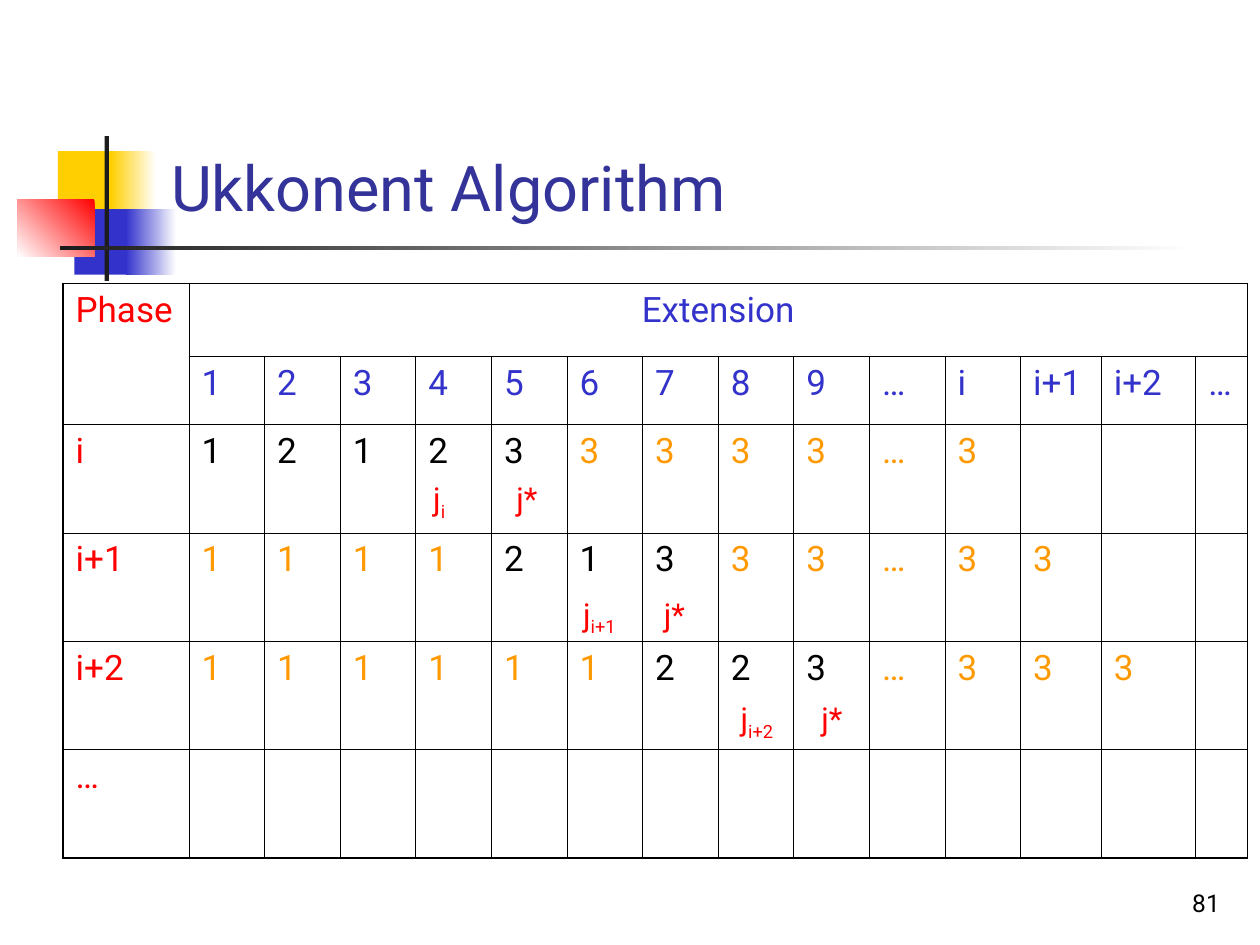
from dataclasses import dataclass

from lxml import etree
from pptx import Presentation
from pptx.dml.color import RGBColor
from pptx.enum.shapes import MSO_SHAPE
from pptx.enum.text import MSO_ANCHOR, MSO_AUTO_SIZE, PP_ALIGN
from pptx.oxml.ns import qn
from pptx.util import Inches, Pt

RECTANGLE = MSO_SHAPE.RECTANGLE
TOP, BOTTOM = MSO_ANCHOR.TOP, MSO_ANCHOR.BOTTOM
LEFT, CENTER, RIGHT = PP_ALIGN.LEFT, PP_ALIGN.CENTER, PP_ALIGN.RIGHT
FIXED, GROW = MSO_AUTO_SIZE.NONE, MSO_AUTO_SIZE.SHAPE_TO_FIT_TEXT
GRID_COLUMNS, GRID_ROWS = 100, 75


@dataclass(frozen=True)
class Theme:
    font: str = "Roboto"
    title: str = "333399"
    extension: str = "3333CC"
    phase: str = "FF0000"
    explicit: str = "000000"
    implicit: str = "FF9900"
    border: str = "000000"
    yellow: str = "FFCF01"
    blue: str = "3333CC"
    red: str = "FF0000"
    dark: str = "1C1C1C"
    white: str = "FFFFFF"
    title_size: int = 36
    table_size: int = 20
    marker_size: int = 18
    number_size: int = 14
    inner_line: float = 0.45
    outer_line: float = 1.08


def apply_format(target, values):
    for attribute, value in values.items():
        setattr(target, attribute, value)


class SlideBuilder:
    def __init__(self, deck, theme):
        self.theme = theme
        self.slide = deck.slides.add_slide(deck.slide_layouts[6])
        self.column = deck.slide_width / GRID_COLUMNS
        self.row = deck.slide_height / GRID_ROWS

    def place(self, left, top, width, height):
        return (round(left * self.column), round(top * self.row),
                round(width * self.column), round(height * self.row))

    def block(self, area, *colors, angle=180):
        block = self.slide.shapes.add_shape(RECTANGLE, *self.place(*area))
        block.shadow.inherit = False
        block.line.fill.background()
        if len(colors) == 1:
            block.fill.solid()
            block.fill.fore_color.rgb = RGBColor.from_string(colors[0])
            return
        block.fill.gradient()
        block.fill.gradient_angle = angle
        for position, (stop, color) in enumerate(zip(block.fill.gradient_stops, colors)):
            stop.position = position
            stop.color.rgb = RGBColor.from_string(color)

    def fill_text(self, frame, text, size, color, align=LEFT, subscript=""):
        paragraph = frame.paragraphs[0]
        paragraph.alignment = align
        for words, baseline in ((text, None), (subscript, "-25000")):
            if not words:
                continue
            run = paragraph.add_run()
            run.text = words
            apply_format(run.font, {"name": self.theme.font, "size": Pt(size)})
            run.font.color.rgb = RGBColor.from_string(color)
            if baseline:
                run._r.get_or_add_rPr().set("baseline", baseline)

    def text(self, area, text, size, color, align=LEFT, subscript="",
             anchor=TOP, wrap=True, fit=FIXED):
        frame = self.slide.shapes.add_textbox(*self.place(*area)).text_frame
        apply_format(frame, {"word_wrap": wrap, "auto_size": fit, "vertical_anchor": anchor})
        self.fill_text(frame, text, size, color, align, subscript)

    def marker(self, area, text, subscript=""):
        self.text(area, text, self.theme.marker_size, self.theme.phase,
                  subscript=subscript, wrap=False, fit=GROW)

    def borders(self, cell, outer_sides):
        properties = cell._tc.get_or_add_tcPr()
        for side in ("lnL", "lnR", "lnT", "lnB"):
            width = self.theme.outer_line if side in outer_sides else self.theme.inner_line
            line = etree.SubElement(properties, qn(f"a:{side}"), w=str(Pt(width)))
            fill = etree.SubElement(line, qn("a:solidFill"))
            etree.SubElement(fill, qn("a:srgbClr"), val=self.theme.border)

    def table(self, left, top, widths, heights, entries, merges):
        area = self.place(left, top, sum(widths), sum(heights))
        table = self.slide.shapes.add_table(len(heights), len(widths), *area).table
        apply_format(table, {"first_row": False, "horz_banding": False})
        for column, width in zip(table.columns, widths):
            column.width = round(width * self.column)
        for row, height in zip(table.rows, heights):
            row.height = round(height * self.row)
        last_row, last_column = len(heights) - 1, len(widths) - 1
        for r in range(len(heights)):
            for c in range(len(widths)):
                cell = table.cell(r, c)
                edges = {"lnL": c == 0, "lnR": c == last_column,
                         "lnT": r == 0, "lnB": r == last_row}
                self.borders(cell, [side for side, outer in edges.items() if outer])
                cell.fill.background()
                if (r, c) in entries:
                    self.fill_text(cell.text_frame, *entries[r, c])
        for start, end in merges:
            table.cell(*start).merge(table.cell(*end))


def phase_entries(theme):
    size = theme.table_size
    entries = {
        (0, 0): ("Phase", size, theme.phase),
        (0, 1): ("Extension", size, theme.extension, CENTER),
    }
    headings = [*"123456789", "…", "i", "i+1", "i+2", "…"]
    for column, heading in enumerate(headings, 1):
        entries[1, column] = (heading, size, theme.extension)
    phases = [
        ("i", "121233333…3", range(1, 6)),
        ("i+1", "111121333…33", range(5, 8)),
        ("i+2", "111111223…333", range(7, 10)),
        ("…", "", range(0)),
    ]
    for row, (phase, rules, explicit) in enumerate(phases, 2):
        entries[row, 0] = (phase, size, theme.phase)
        for column, rule in enumerate(rules, 1):
            color = theme.explicit if column in explicit else theme.implicit
            entries[row, column] = (rule, size, color)
    return entries


def main():
    deck = Presentation()
    apply_format(deck, {"slide_width": Inches(10), "slide_height": Inches(7.5)})
    theme = Theme()
    page = SlideBuilder(deck, theme)

    page.block((4.6, 12, 4.8, 5.2), theme.yellow)
    page.block((8.8, 12, 3.6, 5.2), theme.white, theme.yellow)
    page.block((5.9, 16.6, 4.6, 5.2), theme.blue)
    page.block((10, 16.6, 4, 5.2), theme.white, theme.blue)
    page.block((1.4, 15.8, 6.1, 4.6), theme.red, theme.white, angle=225)
    page.block((8.3, 10.8, 0.35, 11.5), theme.dark)
    page.block((4.8, 19.5, 90, 0.35), theme.white, theme.dark)

    page.text((12.6, 2.3, 85.2, 16), "Ukkonent Algorithm",
              theme.title_size, theme.title, anchor=BOTTOM)
    page.table(5, 22.5, [10] + [6] * 11 + [6.4, 7.5, 4.1], [5.8, 5.4] + [8.6] * 4,
               phase_entries(theme), [((0, 0), (1, 0)), ((0, 1), (0, 14))])

    marker_rows = [
        ("i", 37.5, 33.4, 3, 40),
        ("i+1", 46.7, 45.3, 4.7, 51.7),
        ("i+2", 55, 57.8, 4.7, 64.2),
    ]
    for phase, top, last_left, last_width, star_left in marker_rows:
        page.marker((last_left, top, last_width, 4.4), "j", phase)
        page.marker((star_left, top, 4, 4), "j*")

    page.text((77, 68.3, 20.8, 5), "81", theme.number_size, theme.explicit,
              RIGHT, anchor=BOTTOM)
    deck.save("out.pptx")


if __name__ == "__main__":
    main()
